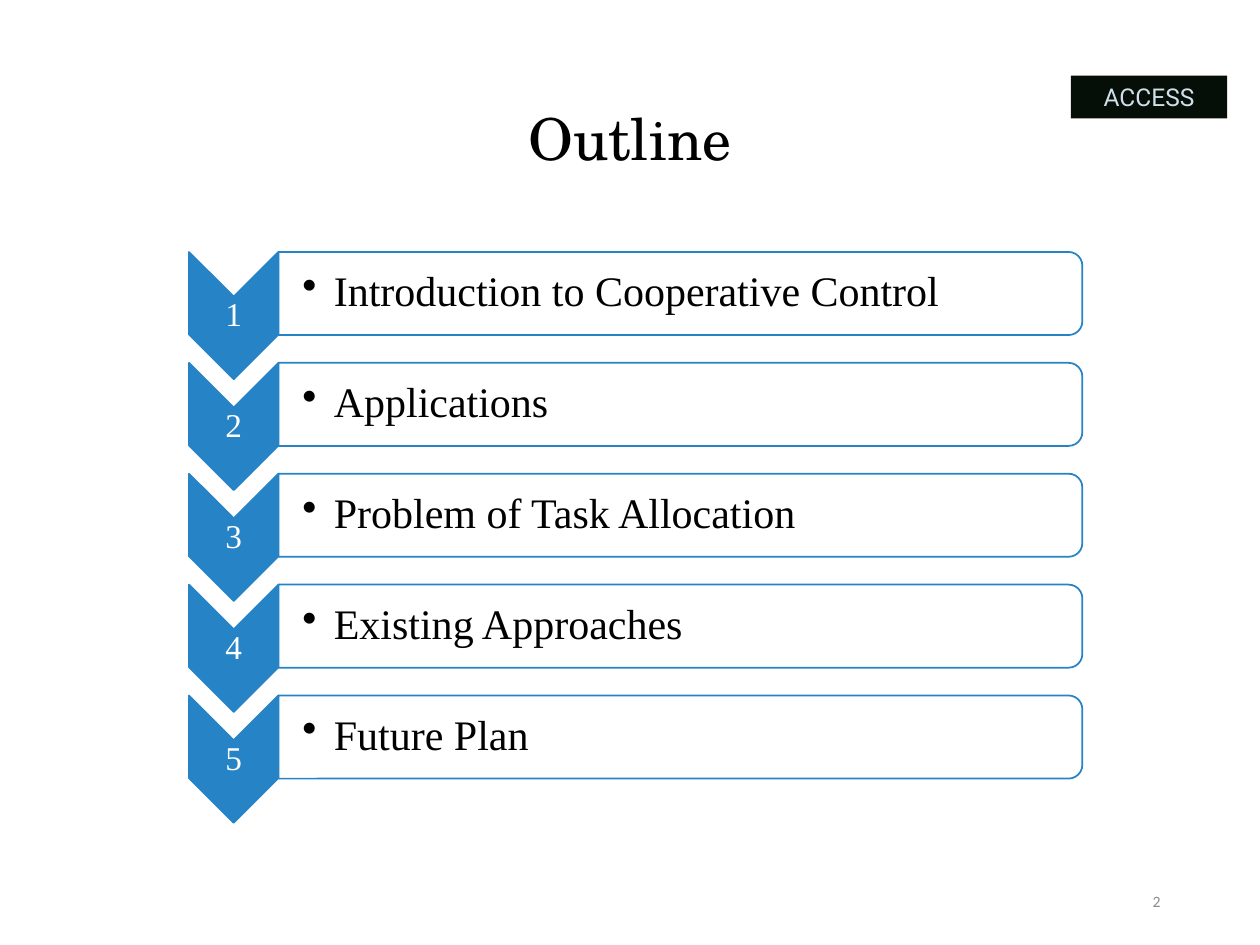
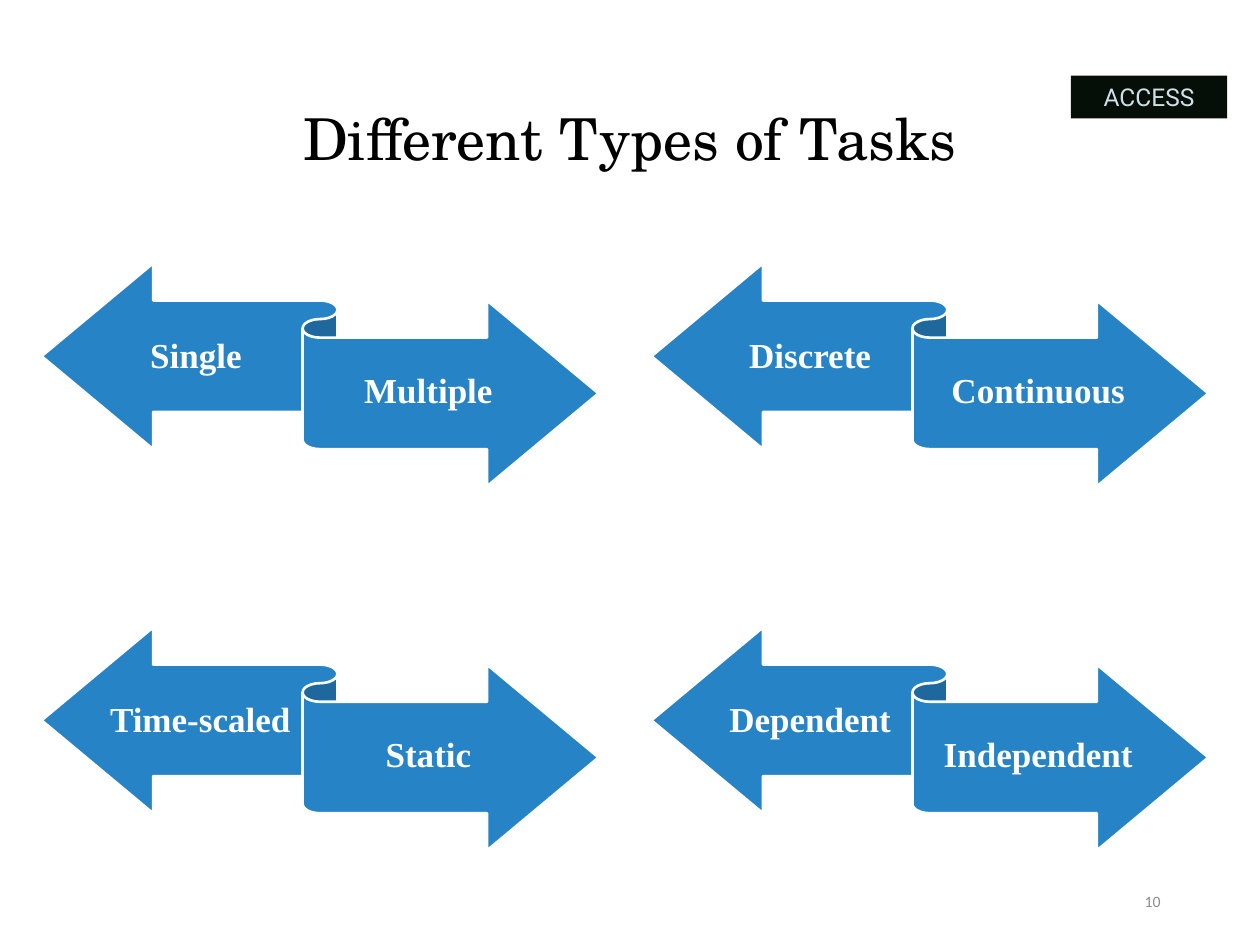
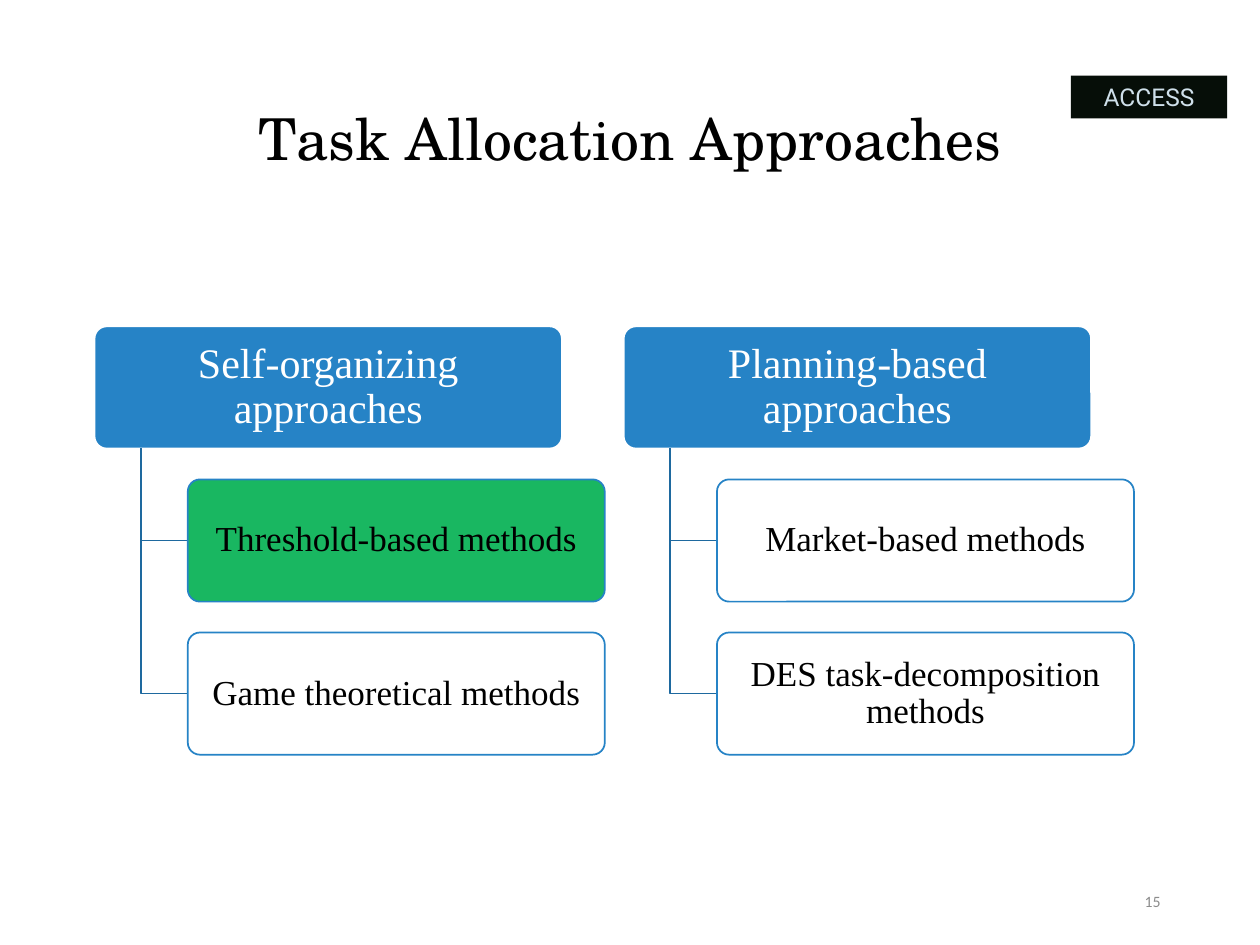
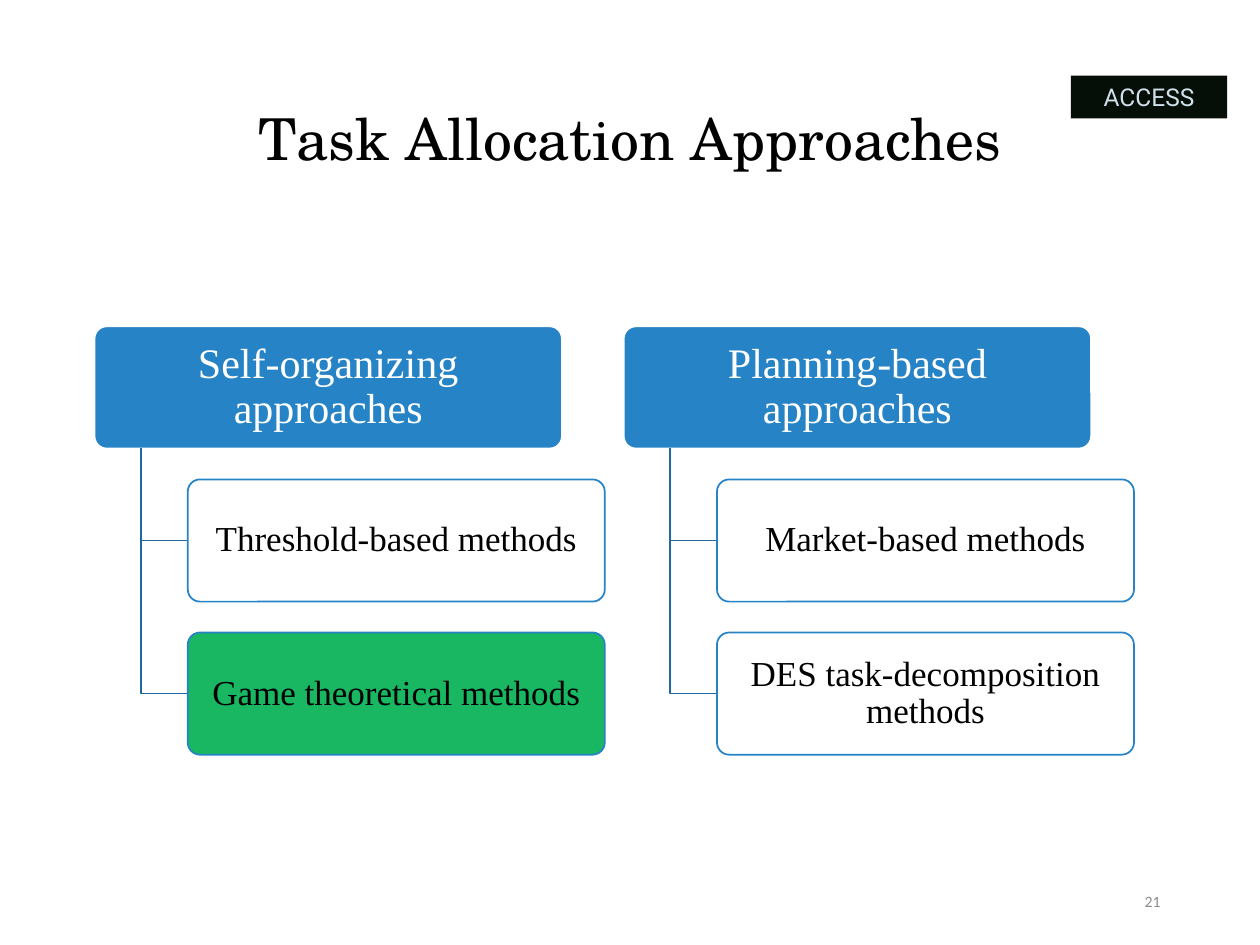
from dataclasses import dataclass

from lxml import etree
from pptx import Presentation
from pptx import util as u
from pptx.dml.color import RGBColor
from pptx.enum import shapes, text
from pptx.oxml import ns

TOPICS = [
    "Introduction to Cooperative Control",
    "Applications",
    "Problem of Task Allocation",
    "Existing Approaches",
    "Future Plan",
]
PAIRS = [
    ("Single ", "Multiple"),
    ("Discrete", "Continuous"),
    ("Time-scaled", "Static"),
    ("Dependent", "Independent"),
]
GROUPS = [
    ("Self-organizing approaches",
     ["Threshold-based methods", "Game theoretical methods"]),
    ("Planning-based approaches",
     ["Market-based methods", "DES task-decomposition methods"]),
]


@dataclass(frozen=True)
class Theme:
    blue: str = "2683C6"
    deep: str = "1E699F"
    green: str = "00B050"
    white: str = "FFFFFF"
    black: str = "000000"
    gray: str = "8C8C8C"
    dark: str = "060E08"
    pale: str = "CFE0EA"
    serif: str = "Times New Roman"
    head: str = "TeX Gyre Schola"
    sans: str = "Roboto"
    foot: str = "Calibri"
    title: int = 33
    large: int = 24
    body: int = 20
    step: int = 19
    badge: int = 14
    page: int = 9


T = Theme()
KIND = shapes.MSO_SHAPE
LEFT, MID, RIGHT = text.PP_ALIGN.LEFT, text.PP_ALIGN.CENTER, text.PP_ALIGN.RIGHT
PAD = (0.1, 0.05, 0.1, 0.05)


def tint(hue):
    return RGBColor.from_string(hue)


def write(slide, words, box=None, host=None, size=T.body, font=T.serif,
          hue=T.black, bold=False, align=MID, pad=PAD, lead=0.9,
          anchor=text.MSO_ANCHOR.MIDDLE, bullet=False):
    host = host or slide.shapes.add_textbox(*map(u.Inches, box))
    frame = host.text_frame
    frame.word_wrap = True
    frame.vertical_anchor = anchor
    (frame.margin_left, frame.margin_top,
     frame.margin_right, frame.margin_bottom) = map(u.Inches, pad)
    para = frame.paragraphs[0]
    para.alignment = align
    para.line_spacing = lead
    if bullet:
        props = para._p.get_or_add_pPr()
        props.set("marL", str(u.Inches(0.25)))
        props.set("indent", str(-u.Inches(0.25)))
        etree.SubElement(props, ns.qn("a:buChar")).set("char", "•")
    run = para.add_run()
    run.text = words
    run.font.size = u.Pt(size)
    run.font.name = font
    run.font.bold = bold
    run.font.color.rgb = tint(hue)


def draw(slide, kind, box, fill, line=None, width=1, turn=0, alpha=None):
    shape = slide.shapes.add_shape(kind, *map(u.Inches, box))
    shape.shadow.inherit = False
    shape.rotation = turn
    shape.fill.solid()
    shape.fill.fore_color.rgb = tint(fill)
    if alpha:
        color = shape.fill._xPr.find(".//" + ns.qn("a:srgbClr"))
        etree.SubElement(color, ns.qn("a:alpha")).set("val", str(alpha * 1000))
    if line:
        shape.line.color.rgb = tint(line)
        shape.line.width = u.Pt(width)
    else:
        shape.line.fill.background()
    return shape


def start(deck, title, page):
    slide = deck.slides.add_slide(deck.slide_layouts[6])
    write(slide, title, (0.69, 0.4, 8.62, 1.45), size=T.title, font=T.head)
    write(slide, str(page), (7.06, 6.95, 2.25, 0.4), size=T.page,
          font=T.foot, hue=T.gray, align=RIGHT, lead=1.0)
    badge = draw(slide, KIND.RECTANGLE, (8.5, 0.6, 1.24, 0.34), T.dark)
    write(slide, "ACCESS", host=badge, size=T.badge, font=T.sans, hue=T.pale,
          lead=1.0, anchor=text.MSO_ANCHOR.TOP)
    badge.text_frame.auto_size = text.MSO_AUTO_SIZE.SHAPE_TO_FIT_TEXT
    return slide


def outline(deck):
    slide = start(deck, "Outline", 2)
    for i, topic in enumerate(TOPICS):
        drop = 0.88 * i
        draw(slide, KIND.CHEVRON, (1.35, 2.15 + drop, 1.01, 0.71),
             T.blue, T.blue, turn=90)
        write(slide, str(i + 1), (1.5, 2.36 + drop, 0.71, 0.3), size=T.step,
              hue=T.white, pad=(0.01,) * 4)
        draw(slide, KIND.ROUND_2_SAME_RECTANGLE,
             (5.07, -0.86 + drop, 0.66, 6.38), T.white, T.blue,
             turn=90, alpha=90)
        write(slide, topic, (2.21, 2.03 + drop, 6.34, 0.59), size=T.large,
              align=LEFT, pad=(0.19, 0.02, 0.02, 0.02), bullet=True)


def ribbons(deck):
    slide = start(deck, "Different Types of Tasks", 10)
    look = dict(hue=T.white, bold=True, pad=(0, 0.08, 0, 0.08))
    for i, (near, far) in enumerate(PAIRS):
        row, col = divmod(i, 2)
        x, y = 0.33 + 4.84 * col, 2.09 + 2.89 * row
        draw(slide, KIND.LEFT_RIGHT_RIBBON, (x, y, 4.42, 1.77),
             T.blue, T.white, 1.5)
        write(slide, near, (x + 0.53, y + 0.31, 1.46, 0.87), **look)
        write(slide, far, (x + 2.21, y + 0.59, 1.72, 0.87), **look)


def card(slide, words, box, fill, line, alpha=None, **look):
    shape = draw(slide, KIND.ROUNDED_RECTANGLE, box, fill, line, alpha=alpha)
    shape.adjustments[0] = 0.1
    x, y, w, h = box
    write(slide, words, (x + 0.03, y + 0.03, w - 0.06, h - 0.06), **look)


def elbow(slide, x, top, right, low):
    pen = slide.shapes.build_freeform(u.Inches(x), u.Inches(top))
    pen.add_line_segments([(u.Inches(x), u.Inches(low)),
                           (u.Inches(right), u.Inches(low))], close=False)
    line = pen.convert_to_shape()
    line.shadow.inherit = False
    line.fill.background()
    line.line.color.rgb = tint(T.deep)
    line.line.width = u.Pt(1)


def tree(deck, page, chosen):
    slide = start(deck, "Task Allocation Approaches", page)
    top, high, gap = 2.59, 0.97, 1.215
    for col, (name, methods) in enumerate(GROUPS):
        x = 0.75 + 4.2 * col
        card(slide, name, (x, top, 3.71, high), T.blue, T.white,
             size=T.large, hue=T.white, pad=(0.05, 0.03, 0.05, 0.03))
        for row, method in enumerate(methods, 1):
            y = top + gap * row
            elbow(slide, x + 0.37, top + high, x + 0.74, y + high / 2)
            fill = T.green if method == chosen else T.white
            card(slide, method, (x + 0.74, y, 3.31, high), fill, T.blue,
                 alpha=90, pad=(0.04, 0.03, 0.04, 0.03))


def main():
    deck = Presentation()
    deck.slide_width, deck.slide_height = u.Inches(10), u.Inches(7.5)
    outline(deck)
    ribbons(deck)
    for page, chosen in zip((15, 21), GROUPS[0][1]):
        tree(deck, page, chosen)
    deck.save("out.pptx")


if __name__ == "__main__":
    main()
